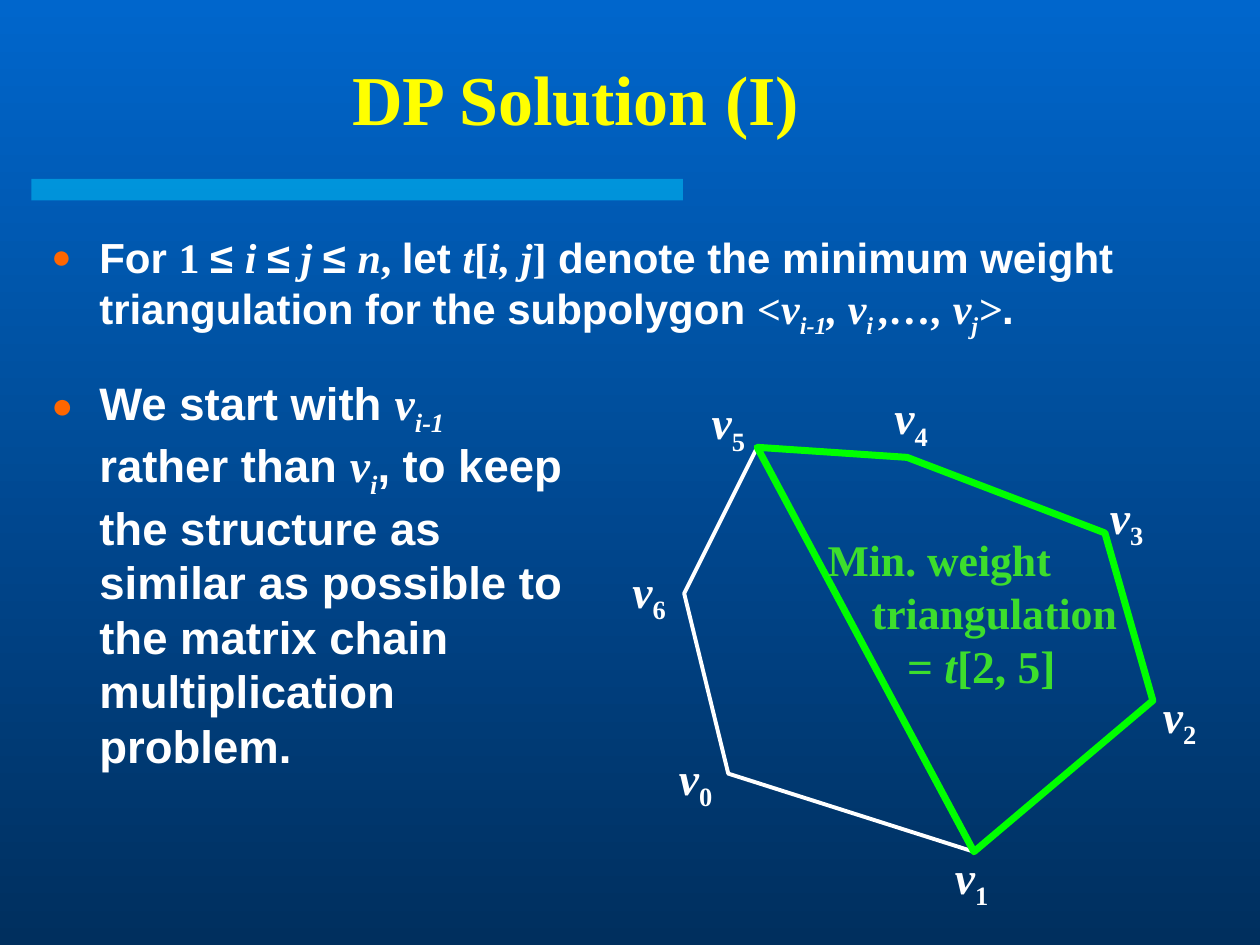
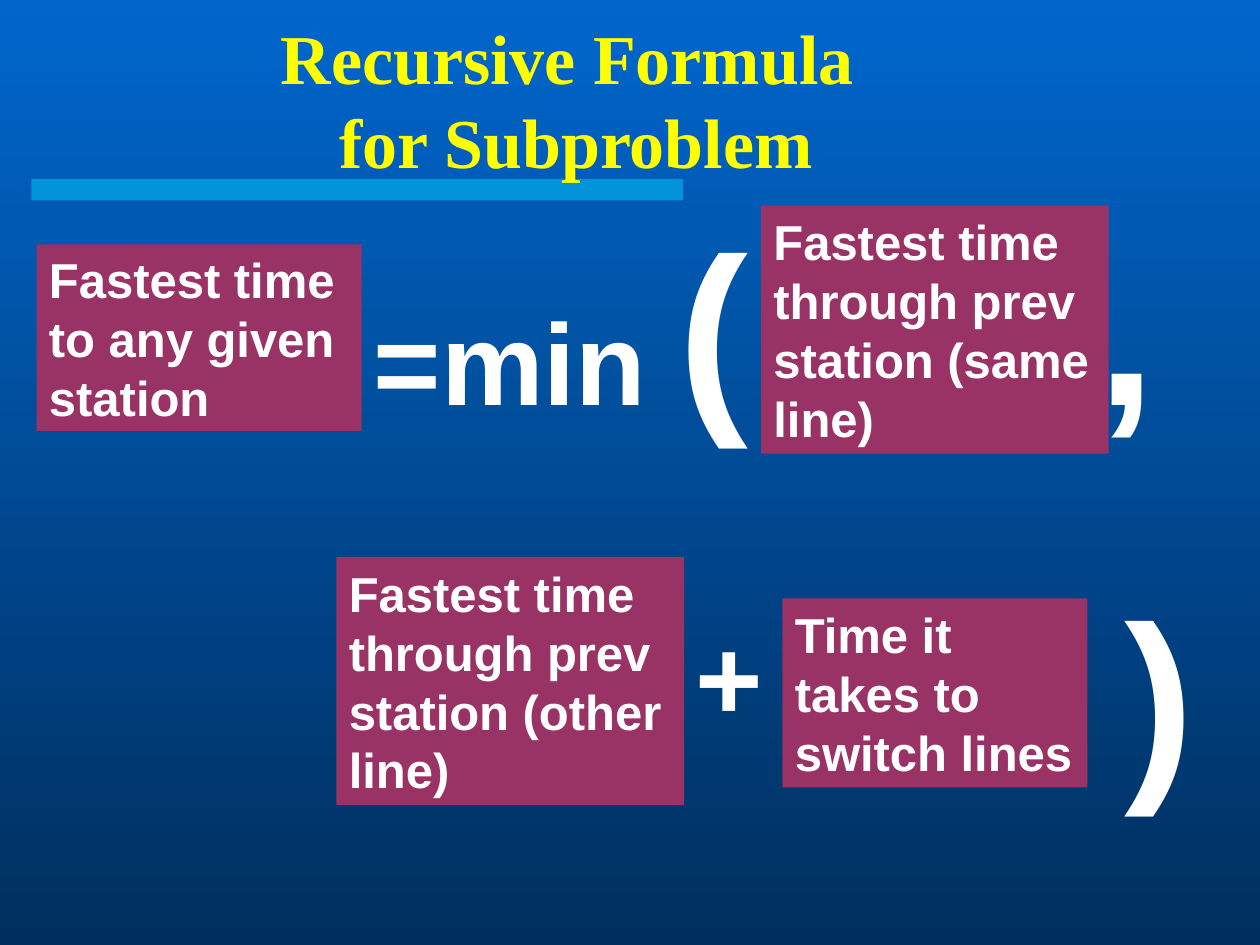
from lxml import etree
from pptx import Presentation, util as u
from pptx.dml.color import RGBColor
from pptx.enum import shapes, text
from pptx.oxml import ns

WIDTH, HEIGHT = 10, 7.5
TOP, BOTTOM, BAND = "0066CC", "002F5E", "00CCFF"
YELLOW, WHITE, ORANGE = "FFFF00", "FFFFFF", "FF6600"
PLUM, LIME, GREEN = "993366", "00FF00", "3DDE2C"
SANS, SERIF = "Arial", "Times New Roman"

STYLES = {
    "sans": (SANS, False, False),
    "serif": (SERIF, False, False),
    "var": (SERIF, True, False),
    "varsub": (SERIF, True, True),
    "numsub": (SERIF, False, True),
}

DEFINITION = [
    ("For ", "sans"), ("1 ", "serif"), ("≤ ", "sans"), ("i ", "var"),
    ("≤", "sans"), (" j ", "var"), ("≤ ", "sans"), ("n", "var"),
    (", ", "serif"), ("let ", "sans"), ("t", "var"), ("[", "serif"),
    ("i, j", "var"), ("]", "serif"),
    (" denote the minimum weight triangulation for the subpolygon ", "sans"),
    ("<v", "var"), ("i-1", "varsub"), (", v", "var"), ("i ", "varsub"),
    (",…, v", "var"), ("j", "varsub"), (">", "var"), (".", "sans"),
]
REASON = [
    ("We start with ", "sans"), ("v", "var"), ("i-1", "varsub"),
    (" rather than ", "sans"), ("v", "var"), ("i", "varsub"),
    (", to keep the structure as similar as possible to the matrix chain "
     "multiplication problem.", "sans"),
]
BULLETS = [
    ((0.31, 1.79, 9.38, 1.08), 24, DEFINITION),
    ((0.31, 2.93, 4.32, 3.64), 26, REASON),
]
VERTICES = [(5.78, 6.14), (7.73, 6.76), (9.15, 5.56), (8.77, 4.23),
            (7.2, 3.63), (6.01, 3.55), (5.43, 4.71)]
LABEL_CORNERS = [(5.29, 5.9), (7.48, 6.69), (9.13, 5.41), (8.71, 3.83),
                 (7, 3.04), (5.55, 3.08), (4.92, 4.42)]
SUBPOLYGON = VERTICES[1:6]
RESULT = [
    (0, 25, [("Min. weight", "serif")]),
    (0.35, 25, [("triangulation", "serif")]),
    (0.63, 26, [("= ", "serif"), ("t", "var"), ("[2, 5]", "serif")]),
]

TERMS = [
    ((0.29, 1.94, 2.58, 1.48), "Fastest time to any given station"),
    ((6.04, 1.63, 2.76, 1.97), "Fastest time through prev station (same line)"),
    ((2.67, 4.42, 2.76, 1.97), "Fastest time through prev station (other line)"),
    ((6.21, 4.75, 2.42, 1.5), "Time it takes to switch lines"),
]
OPERATORS = [
    ((5.42, 4.75, 0.78, 1.2), "+", 66),
    ((8.83, 4.42, 0.83, 2.1), ")", 120),
]
COMMA_TAB = 5.74


def rgb(value):
    return RGBColor.from_string(value)


def inches(values):
    return [u.Inches(v) for v in values]


def add_element(parent, tag, **attrs):
    return etree.SubElement(parent, ns.qn(tag), attrs)


def add_run(p, words, size, style="sans", color=WHITE):
    font, italic, subscript = STYLES[style]
    r = p.add_run()
    r.text = words
    r.font.name, r.font.size = font, u.Pt(size)
    r.font.bold, r.font.italic = True, italic
    r.font.color.rgb = rgb(color)
    if subscript:
        r.font._element.set("baseline", "-25000")


def add_box(s, box):
    tf = s.shapes.add_textbox(*inches(box)).text_frame
    tf.word_wrap = True
    return tf


def add_rect(s, box, color):
    sp = s.shapes.add_shape(shapes.MSO_SHAPE.RECTANGLE, *inches(box))
    sp.shadow.inherit = False
    sp.fill.solid()
    sp.fill.fore_color.rgb = rgb(color)
    sp.line.fill.background()
    return sp


def add_polygon(s, points, color, width):
    start, *rest = [inches(point) for point in points]
    builder = s.shapes.build_freeform(*start)
    builder.add_line_segments(rest, close=True)
    sp = builder.convert_to_shape()
    sp.shadow.inherit = False
    sp.fill.background()
    sp.line.color.rgb = rgb(color)
    sp.line.width = u.Pt(width)


def add_bullet(s, box, size, runs):
    p = add_box(s, box).paragraphs[0]
    pPr = p._p.get_or_add_pPr()
    pPr.set("marL", str(u.Inches(0.38)))
    pPr.set("indent", str(-u.Inches(0.38)))
    add_element(add_element(pPr, "a:buClr"), "a:srgbClr", val=ORANGE)
    add_element(pPr, "a:buSzPct", val="80000")
    add_element(pPr, "a:buFont", typeface=SANS)
    add_element(pPr, "a:buChar", char="●")
    for words, style in runs:
        add_run(p, words, size, style)


def add_title(s, box, lines):
    tf = add_box(s, box)
    tf.vertical_anchor = text.MSO_ANCHOR.MIDDLE
    p = tf.paragraphs[0]
    p.alignment = text.PP_ALIGN.CENTER
    for i, line in enumerate(lines):
        if i:
            p.add_line_break()
        add_run(p, line, 40, "serif", YELLOW)


def add_slide(prs):
    s = prs.slides.add_slide(prs.slide_layouts[6])
    fill = s.background.fill
    fill.gradient()
    fill.gradient_angle = 270
    for stop, position, color in zip(fill.gradient_stops, (0, 1), (TOP, BOTTOM)):
        stop.position = position
        stop.color.rgb = rgb(color)
    band = add_rect(s, (0.25, 1.42, 5.17, 0.17), BAND)
    color = band._element.spPr.find(".//" + ns.qn("a:srgbClr"))
    add_element(color, "a:alpha", val="50000")
    return s


def build_solution(prs):
    s = add_slide(prs)
    add_title(s, (0.28, 0.31, 8.58, 0.93), ["DP Solution (I)"])
    for bullet in BULLETS:
        add_bullet(s, *bullet)
    add_polygon(s, VERTICES, WHITE, 2.25)
    for i, corner in enumerate(LABEL_CORNERS):
        p = add_box(s, (*corner, 0.62, 0.6)).paragraphs[0]
        add_run(p, "v", 26, "var")
        add_run(p, str(i), 26, "numsub")
    add_polygon(s, SUBPOLYGON, LIME, 4)
    tf = add_box(s, (6.47, 4.18, 3.01, 1.37))
    for i, (indent, size, runs) in enumerate(RESULT):
        p = tf.add_paragraph() if i else tf.paragraphs[0]
        p._p.get_or_add_pPr().set("marL", str(u.Inches(indent)))
        for words, style in runs:
            add_run(p, words, size, style, GREEN)


def build_formula(prs):
    s = add_slide(prs)
    p = add_box(s, (2.87, 1.5, 6.54, 2.1)).paragraphs[0]
    tabs = add_element(p._p.get_or_add_pPr(), "a:tabLst")
    add_element(tabs, "a:tab", pos=str(u.Inches(COMMA_TAB)), algn="l")
    add_run(p, "=min ", 66)
    add_run(p, "(\t,", 120)
    add_title(s, (0.4, 0.32, 8.34, 0.93), ["Recursive Formula ", "for Subproblem"])
    for box, words in TERMS:
        tf = add_rect(s, box, PLUM).text_frame
        tf.word_wrap = True
        tf.vertical_anchor = text.MSO_ANCHOR.MIDDLE
        tf.paragraphs[0].alignment = text.PP_ALIGN.LEFT
        add_run(tf.paragraphs[0], words, 28)
    for box, sign, size in OPERATORS:
        add_run(add_box(s, box).paragraphs[0], sign, size)


def main():
    prs = Presentation()
    prs.slide_width, prs.slide_height = inches((WIDTH, HEIGHT))
    build_solution(prs)
    build_formula(prs)
    prs.save("out.pptx")


if __name__ == "__main__":
    main()
